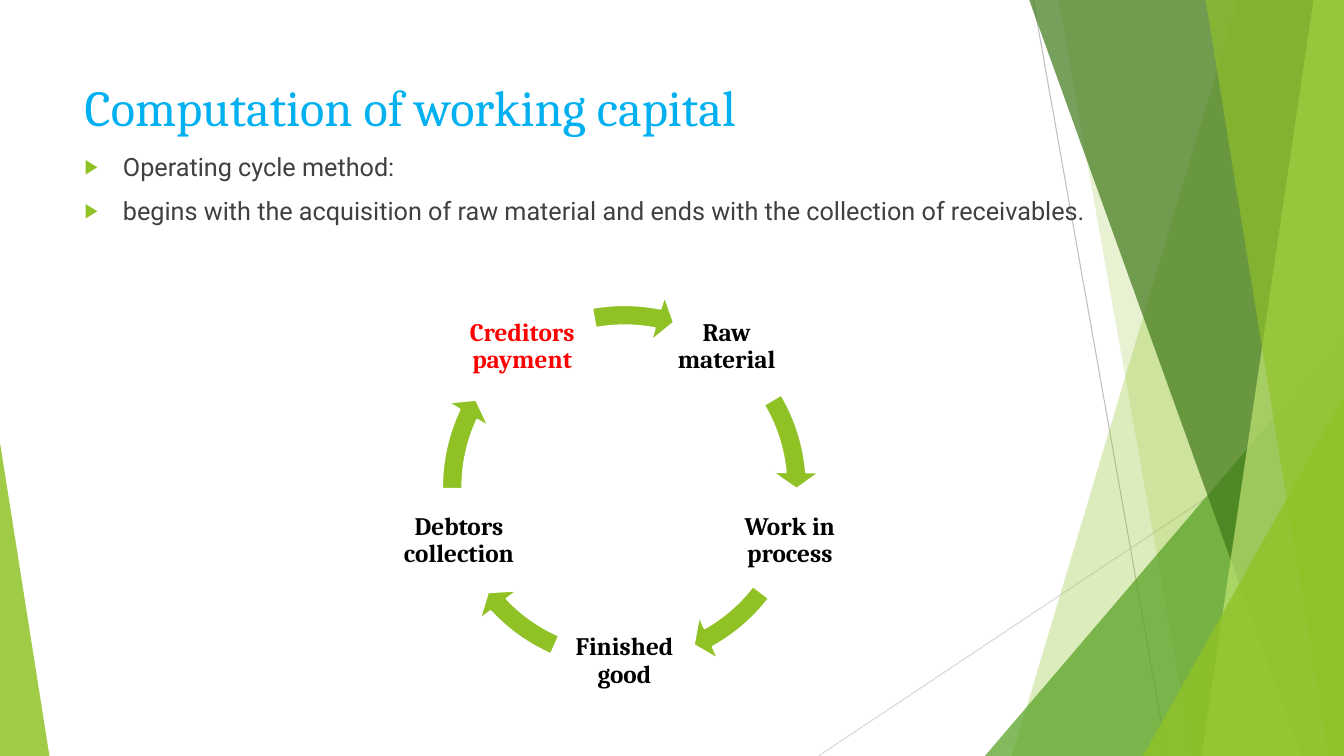
from math import cos, radians, sin

from lxml import etree
from pptx import Presentation
from pptx.dml.color import RGBColor
from pptx.enum.shapes import MSO_CONNECTOR, MSO_SHAPE
from pptx.enum.text import MSO_ANCHOR, MSO_AUTO_SIZE, PP_ALIGN
from pptx.oxml.ns import qn
from pptx.util import Inches, Pt

LINE = MSO_CONNECTOR.STRAIGHT
WEDGE = MSO_SHAPE.ISOSCELES_TRIANGLE
ARROW = MSO_SHAPE.CIRCULAR_ARROW
MIDDLE, TOP = MSO_ANCHOR.MIDDLE, MSO_ANCHOR.TOP
LEFT, CENTER = PP_ALIGN.LEFT, PP_ALIGN.CENTER
FIXED = MSO_AUTO_SIZE.NONE

LIME = RGBColor(0x90, 0xC2, 0x26)
GREEN = RGBColor(0x54, 0xA0, 0x21)
FOREST = RGBColor(0x3F, 0x78, 0x19)
PALE = RGBColor(0xC0, 0xE4, 0x74)
SILVER = RGBColor(0xBF, 0xBF, 0xBF)
MIST = RGBColor(0xD9, 0xD9, 0xD9)
SKY = RGBColor(0x00, 0xB0, 0xF0)
GRAY = RGBColor(0x40, 0x40, 0x40)
BLACK = RGBColor(0, 0, 0)
RED = RGBColor(0xFF, 0, 0)
WHITE = RGBColor(0xFF, 0xFF, 0xFF)

SERIF, SANS = "Cambria", "Roboto"

STAGES = [
    ("Raw material", 7.8, BLACK, 197.64, 212.96),
    ("Work in process", 7.8, BLACK, 22.51, 36.41),
    ("Finished good", 10.43, BLACK, 68.24, 82.14),
    ("Debtors collection", 10.2, BLACK, 107.69, 123),
    ("Creditors payment", 10.65, RED, 155.86, 168.68),
]
MID_X, MID_Y = 46.46, 64.47
RING_W, RING_H = 29.18, 51.87
REACH_X, REACH_Y = 12.94, 23
LABEL_H = 13.87


class Board:
    """Places elements by percent of the slide's width and height."""

    def __init__(self, deck):
        self.wide, self.high = deck.slide_width, deck.slide_height
        self.slide = deck.slides.add_slide(deck.slide_layouts[1])
        self.shapes = self.slide.shapes

    def spot(self, x, y):
        return round(x * self.wide / 100), round(y * self.high / 100)

    def box(self, x, y, w, h):
        return *self.spot(x, y), *self.spot(w, h)

    def paint(self, shape, color, alpha=100):
        shape.shadow.inherit = False
        shape.fill.solid()
        shape.fill.fore_color.rgb = color
        if alpha < 100:
            tint = shape.element.spPr.find(".//" + qn("a:srgbClr"))
            etree.SubElement(tint, qn("a:alpha"), val=str(alpha * 1000))
        shape.line.fill.background()

    def rule(self, start, end, color):
        line = self.shapes.add_connector(LINE, *self.spot(*start), *self.spot(*end))
        line.line.color.rgb = color
        line.line.width = Pt(0.75)
        etree.SubElement(line.element.spPr, qn("a:effectLst"))

    def pane(self, top, foot, color, alpha):
        pen = self.shapes.build_freeform(*self.spot(top, 0))
        corners = [(100, 0), (100, 100), (foot, 100)]
        pen.add_line_segments([self.spot(*point) for point in corners])
        self.paint(pen.convert_to_shape(), color, alpha)

    def wedge(self, x, y, w, peak, color, alpha):
        shape = self.shapes.add_shape(WEDGE, *self.box(x, y, w, 100 - y))
        shape.adjustments[0] = peak
        self.paint(shape, color, alpha)

    def arrow(self, start, end):
        place = self.box(MID_X - RING_W / 2, MID_Y - RING_H / 2, RING_W, RING_H)
        shape = self.shapes.add_shape(ARROW, *place)
        for index, value in enumerate([0.052, 3.353, end, start, 0.061]):
            shape.adjustments[index] = value
        self.paint(shape, LIME)
        shape.line.color.rgb = WHITE
        shape.line.width = Pt(1.5)

    def style(self, para, face, size, color, bold=False):
        font = para.font
        font.name, font.size, font.bold = face, Pt(size), bold
        font.color.rgb = color

    def label(self, text, x, y, width, color):
        place = self.box(x - width / 2, y - LABEL_H / 2, width, LABEL_H)
        frame = self.shapes.add_textbox(*place).text_frame
        frame.word_wrap = True
        frame.vertical_anchor = MIDDLE
        frame.margin_left = frame.margin_right = Inches(0.03)
        frame.margin_top = frame.margin_bottom = Inches(0.03)
        para = frame.paragraphs[0]
        para.text = text
        para.alignment = CENTER
        para.line_spacing = 0.9
        self.style(para, SERIF, 18, color, True)

    def holder(self, index, place, anchor, text):
        shape = self.slide.placeholders[index]
        shape.left, shape.top, shape.width, shape.height = self.box(*place)
        self.shapes.element.append(shape.element)
        frame = shape.text_frame
        frame.text = text
        frame.word_wrap = True
        frame.auto_size = FIXED
        frame.vertical_anchor = anchor
        for para in frame.paragraphs:
            para.alignment = LEFT
        return frame.paragraphs

    def title(self, text, place):
        for para in self.holder(0, place, MIDDLE, text):
            self.style(para, SERIF, 36, SKY)

    def points(self, items, place):
        for para in self.holder(1, place, TOP, "\n".join(items)):
            para.space_before = Pt(10)
            props = para._p.get_or_add_pPr()
            props.set("marL", str(Inches(0.38)))
            props.set("indent", str(Inches(-0.38)))
            tint = etree.SubElement(props, qn("a:buClr"))
            etree.SubElement(tint, qn("a:srgbClr"), val=str(LIME))
            etree.SubElement(props, qn("a:buSzPct"), val="80000")
            etree.SubElement(props, qn("a:buChar"), char="▶")
            self.style(para, SANS, 18, GRAY)


def main():
    deck = Presentation()
    deck.slide_width, deck.slide_height = Inches(13.33), Inches(7.5)
    board = Board(deck)

    board.rule((76.88, 0), (86.85, 100), SILVER)
    board.rule((100, 53.73), (60.9, 100), MIST)
    board.pane(92.1, 75.3, LIME, 30)
    board.pane(78.75, 88.73, LIME, 20)
    board.wedge(73.28, 44.4, 26.72, 1, GREEN, 72)
    board.pane(76.58, 96.83, FOREST, 70)
    board.pane(97.73, 89.4, PALE, 70)
    board.pane(89.7, 98.85, LIME, 65)
    board.wedge(85.05, 52.4, 14.95, 1, LIME, 80)
    board.wedge(0, 58.53, 3.68, 0, LIME, 85)

    board.title("Computation of working capital", (5.55, 8.93, 70.5, 10.4))
    board.points([
        "Operating cycle method:",
        "begins with the acquisition of raw material and ends with "
        "the collection of receivables.",
    ], (5.55, 19.33, 76, 68.8))

    for index, (text, width, color, start, end) in enumerate(STAGES):
        angle = radians(72 * index - 54)
        x, y = MID_X + REACH_X * cos(angle), MID_Y + REACH_Y * sin(angle)
        board.label(text, x, y, width, color)
        board.arrow(start, end)

    deck.save("out.pptx")


if __name__ == "__main__":
    main()
